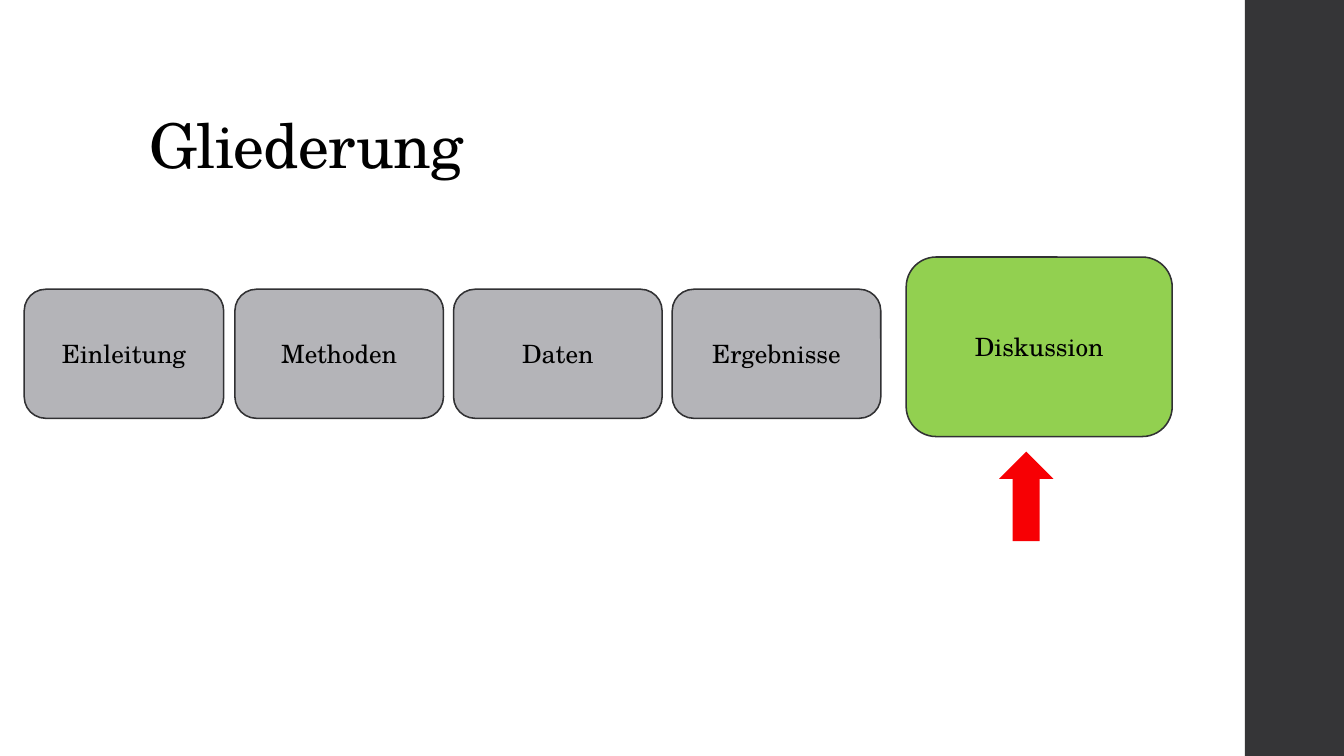
from pptx import Presentation
from pptx.dml.color import RGBColor
from pptx.enum import shapes, text
from pptx.util import Pt

FONT = "TeX Gyre Schola"
BLACK = RGBColor(0x00, 0x00, 0x00)
CHARCOAL = RGBColor(0x35, 0x35, 0x37)
OUTLINE = RGBColor(0x31, 0x31, 0x33)
GREY = RGBColor(0xB4, 0xB4, 0xB8)
GREEN = RGBColor(0x92, 0xD0, 0x50)
RED = RGBColor(0xF7, 0x00, 0x04)
KIND = shapes.MSO_SHAPE


def add_filled(slide, kind, box, fill, outline=None):
    block = slide.shapes.add_shape(kind, *map(Pt, box))
    block.shadow.inherit = False
    block.fill.solid()
    block.fill.fore_color.rgb = fill
    if outline is None:
        block.line.fill.background()
    else:
        block.line.color.rgb = outline
        block.line.width = Pt(1.1)
    return block


def style_run(run, size):
    run.font.name = FONT
    run.font.size = Pt(size)
    run.font.color.rgb = BLACK


def add_heading(slide, box, wording):
    heading = slide.shapes.title
    heading.left, heading.top, heading.width, heading.height = map(Pt, box)
    frame = heading.text_frame
    frame.text = wording
    frame.word_wrap = True
    frame.auto_size = text.MSO_AUTO_SIZE.NONE
    frame.vertical_anchor = text.MSO_ANCHOR.BOTTOM
    line = frame.paragraphs[0]
    line.alignment = text.PP_ALIGN.LEFT
    line.line_spacing = 0.9
    style_run(line.runs[0], 44)
    line.runs[0]._r.get_or_add_rPr().set("spc", "-50")


def add_chapter(slide, box, wording, fill):
    chapter = add_filled(slide, KIND.ROUNDED_RECTANGLE, box, fill, OUTLINE)
    frame = chapter.text_frame
    frame.text = wording
    frame.vertical_anchor = text.MSO_ANCHOR.MIDDLE
    frame.paragraphs[0].alignment = text.PP_ALIGN.CENTER
    style_run(frame.paragraphs[0].runs[0], 18)


def add_outline(slide, box):
    left, top, width, height = box
    chapter_top, chapter_height = top + 23, 92.2
    add_chapter(slide, (left, chapter_top, 142.5, chapter_height), "Einleitung", GREY)
    for step, wording in enumerate(("Methoden", "Daten", "Ergebnisse")):
        chapter_left = left + 150.5 + step * 156.2
        add_chapter(slide, (chapter_left, chapter_top, 149, chapter_height), wording, GREY)

    current_width, current_height = 190, 128.2
    current_left = left + width - current_width
    add_chapter(slide, (current_left, top, current_width, current_height), "Diskussion", GREEN)
    arrow_height = 64
    arrow_box = (current_left + 66.3, top + height - arrow_height, 38.8, arrow_height)
    add_filled(slide, KIND.UP_ARROW, arrow_box, RED)


def main():
    deck = Presentation()
    deck.slide_width, deck.slide_height = Pt(960), Pt(540)
    slide = deck.slides.add_slide(deck.slide_layouts[5])
    add_filled(slide, KIND.RECTANGLE, (889.2, 0, 72, 540), CHARCOAL)
    add_heading(slide, (99.4, 28.8, 763.2, 104.4), "Gliederung")
    add_outline(slide, (17.3, 183.6, 820, 203))
    deck.save("out.pptx")


if __name__ == "__main__":
    main()
